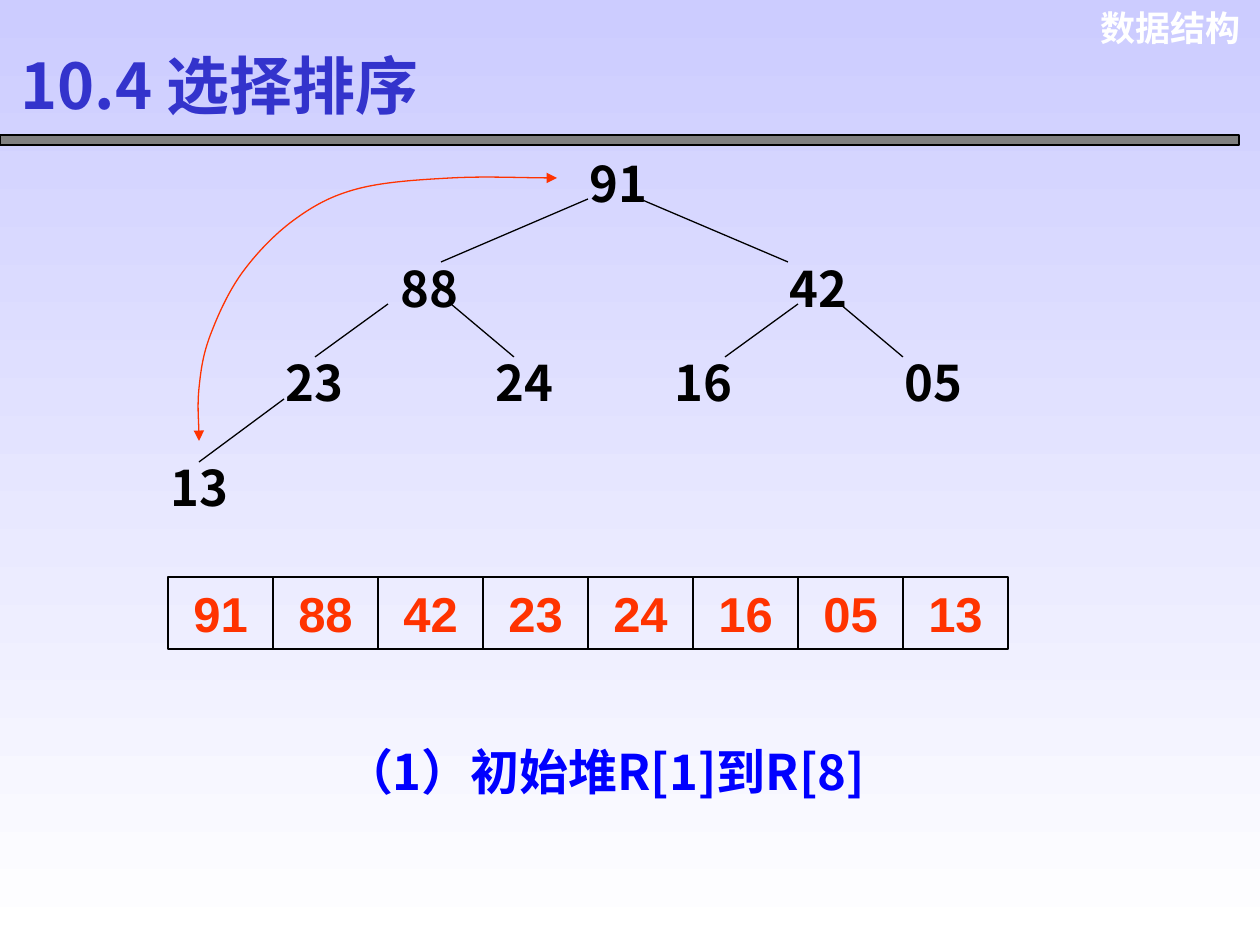
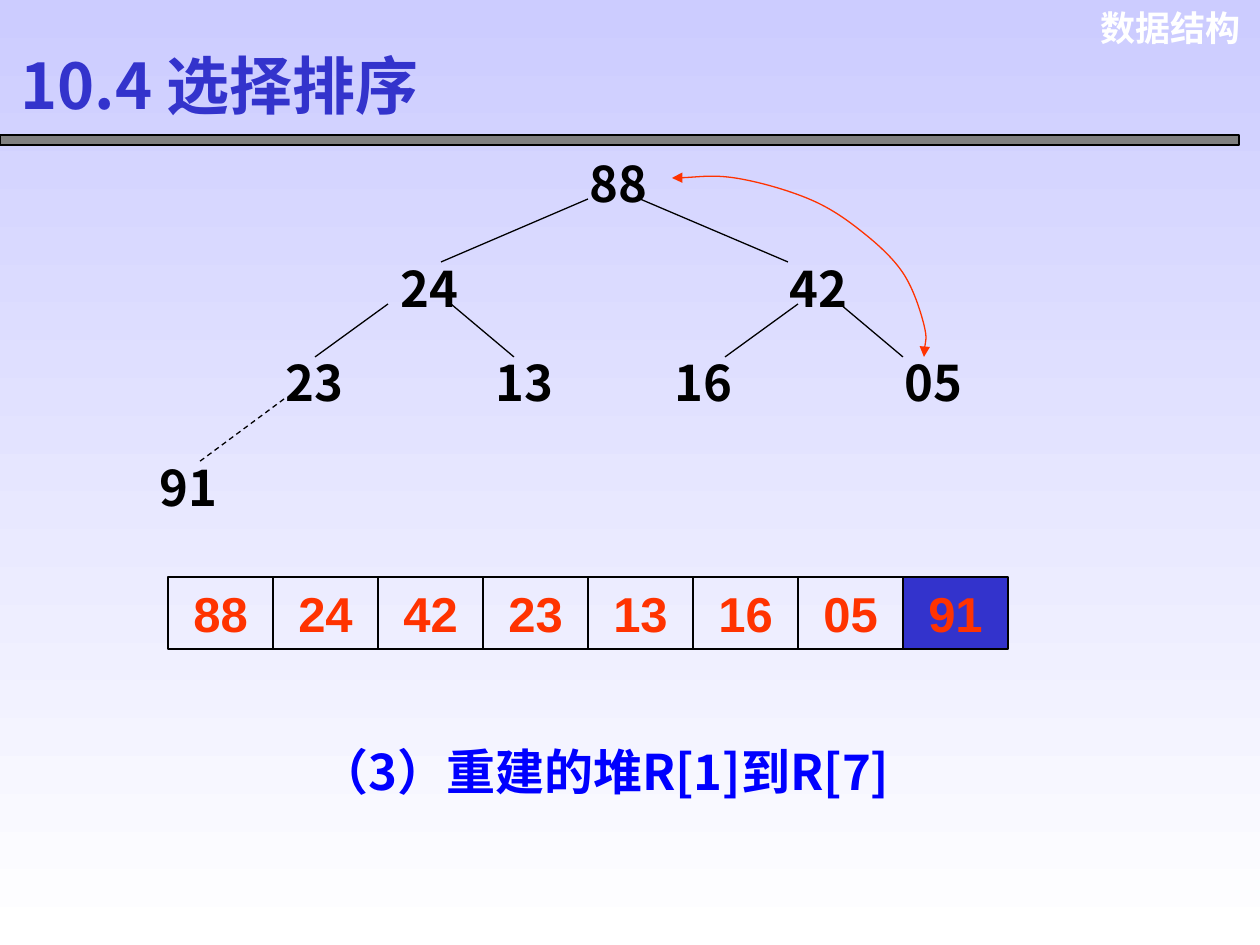
"""Builds two heap sort slides: heap tree, array row and caption."""
from lxml.etree import SubElement
from pptx import Presentation
from pptx.dml.color import RGBColor
from pptx.enum.dml import MSO_LINE
from pptx.enum.shapes import MSO_CONNECTOR, MSO_SHAPE
from pptx.enum.text import MSO_ANCHOR, PP_ALIGN
from pptx.oxml.ns import qn
from pptx.util import Pt

COURSE = "数据结构"
TITLE = "10.4 选择排序"
STEPS = [
    {
        "caption": "（1）初始堆R[1]到R[8]",
        "heap": ["91", "88", "42", "23", "24", "16", "05", "13"],
        "sorted": 0,
        "last_left": 158,
        "swap": [(199, 441), (199, 388), (210, 336), (242, 273),
                 (294, 220), (357, 189), (451, 178), (557, 178)],
    },
    {
        "caption": "（3）重建的堆R[1]到R[7]",
        "heap": ["88", "24", "42", "23", "13", "16", "05", "91"],
        "sorted": 1,
        "last_left": 147,
        "swap": [(924, 357), (924, 325), (903, 273), (861, 231),
                 (809, 199), (735, 178), (672, 178)],
    },
]
NODE_SPOTS = [(577, 147), (388, 252), (777, 252), (273, 346),
              (483, 346), (662, 346), (892, 346)]
LAST_NODE_TOP = 451
EDGES = [((588, 199), (441, 262)), ((640, 199), (788, 262)),
         ((388, 304), (315, 357)), ((451, 304), (514, 357)),
         ((798, 304), (725, 357)), ((840, 304), (903, 357)),
         ((284, 399), (199, 462))]
CELL_LEFT, CELL_TOP, CELL_WIDTH, ROW_HEIGHT = 168, 577, 105, 72
NODE_WIDTH = 84

COLORS = {"sky": "CCCCFF", "white": "FFFFFF", "bar": "808080", "ink": "000000",
          "indigo": "3333CC", "red": "FF3300", "blue": "0000FF"}
CJK, LATIN = "Noto Sans CJK SC", "Arial"
EMU_PER_PX = 914400 / 126


def emu(*lengths):
    return [round(length * EMU_PER_PX) for length in lengths]


def rgb(name):
    return RGBColor.from_string(COLORS[name])


def outline(line, color="ink"):
    line.color.rgb = rgb(color)
    line.width = Pt(0.75)


def write(shape, text, size, color, font=CJK, align=PP_ALIGN.LEFT,
          anchor=MSO_ANCHOR.TOP, wrap=True):
    frame = shape.text_frame
    frame.word_wrap = wrap
    frame.vertical_anchor = anchor
    paragraph = frame.paragraphs[0]
    paragraph.alignment = align
    run = paragraph.add_run()
    run.text = text
    run.font.size = Pt(size)
    run.font.bold = True
    run.font.name = font
    run.font.color.rgb = rgb(color)
    SubElement(run.font._element, qn("a:ea"), typeface=CJK)


def add_label(slide, box, *args, **style):
    write(slide.shapes.add_textbox(*emu(*box)), *args, **style)


def add_box(slide, box, fill=None):
    rect = slide.shapes.add_shape(MSO_SHAPE.RECTANGLE, *emu(*box))
    rect.shadow.inherit = False
    outline(rect.line)
    if fill:
        rect.fill.solid()
        rect.fill.fore_color.rgb = rgb(fill)
    else:
        rect.fill.background()
    return rect


def add_edge(slide, parent, child, dashed):
    edge = slide.shapes.add_connector(MSO_CONNECTOR.STRAIGHT, *emu(*parent, *child))
    outline(edge.line)
    if dashed:
        edge.line.dash_style = MSO_LINE.DASH
    SubElement(edge._element.spPr, qn("a:effectLst"))


def add_swap_curve(slide, stops):
    """Draws a smooth double arrow whose tangents follow the neighbouring stops."""
    points = [emu(*stop) for stop in stops]
    builder = slide.shapes.build_freeform(*points[0], scale=1.0)
    builder.add_line_segments(points[1:], close=False)
    curve = builder.convert_to_shape()
    curve.shadow.inherit = False
    curve.fill.background()
    outline(curve.line, "red")
    for end in ("a:headEnd", "a:tailEnd"):
        SubElement(curve.line._get_or_add_ln(), qn(end), type="triangle")

    def beyond(end, inner):
        return [2 * e - i for e, i in zip(end, inner)]

    run = [beyond(points[0], points[1]), *points, beyond(points[-1], points[-2])]
    segments = list(curve._element.iter(qn("a:lnTo")))
    for segment, before, start, stop, after in zip(segments, run, run[1:], run[2:], run[3:]):
        leave = [s + (e - b) / 6 for b, s, e in zip(before, start, stop)]
        arrive = [e - (a - s) / 6 for s, e, a in zip(start, stop, after)]
        bend = SubElement(segment.getparent(), qn("a:cubicBezTo"))
        for x, y in (leave, arrive, stop):
            SubElement(bend, qn("a:pt"), x=str(round(x - curve.left)),
                       y=str(round(y - curve.top)))
        segment.getparent().replace(segment, bend)


def add_step(deck, step):
    slide = deck.slides.add_slide(deck.slide_layouts[6])
    add_label(slide, (1080, 0, 173, 55), COURSE, 20, "white", font=LATIN,
              align=PP_ALIGN.RIGHT)
    add_box(slide, (0, 135, 1239, 10), "bar")
    add_label(slide, (8, 37, 469, 95), TITLE, 36, "indigo", anchor=MSO_ANCHOR.MIDDLE)

    heap = step["heap"]
    live = len(heap) - step["sorted"]
    spots = NODE_SPOTS + [(step["last_left"], LAST_NODE_TOP)]
    for key, spot in zip(heap, spots):
        add_label(slide, (*spot, NODE_WIDTH, ROW_HEIGHT), key, 28, "ink", wrap=False)
    for child, (start, end) in enumerate(EDGES, 1):
        add_edge(slide, start, end, dashed=child >= live)
    for index, key in enumerate(heap):
        cell = add_box(slide, (CELL_LEFT + index * CELL_WIDTH, CELL_TOP, CELL_WIDTH, ROW_HEIGHT),
                       "indigo" if index >= live else None)
        write(cell, key, 28, "red", font=LATIN, align=PP_ALIGN.CENTER)
    add_label(slide, (242, 735, 725, ROW_HEIGHT), step["caption"], 28, "blue",
              align=PP_ALIGN.CENTER)
    add_swap_curve(slide, step["swap"])


def main():
    deck = Presentation()
    deck.slide_width, deck.slide_height = emu(1260, 945)
    backdrop = deck.slide_master.background.fill
    backdrop.gradient()
    backdrop.gradient_angle = 270
    for stop, color in zip(backdrop.gradient_stops, ("sky", "white")):
        stop.color.rgb = rgb(color)
    for step in STEPS:
        add_step(deck, step)
    deck.save("out.pptx")


if __name__ == "__main__":
    main()
